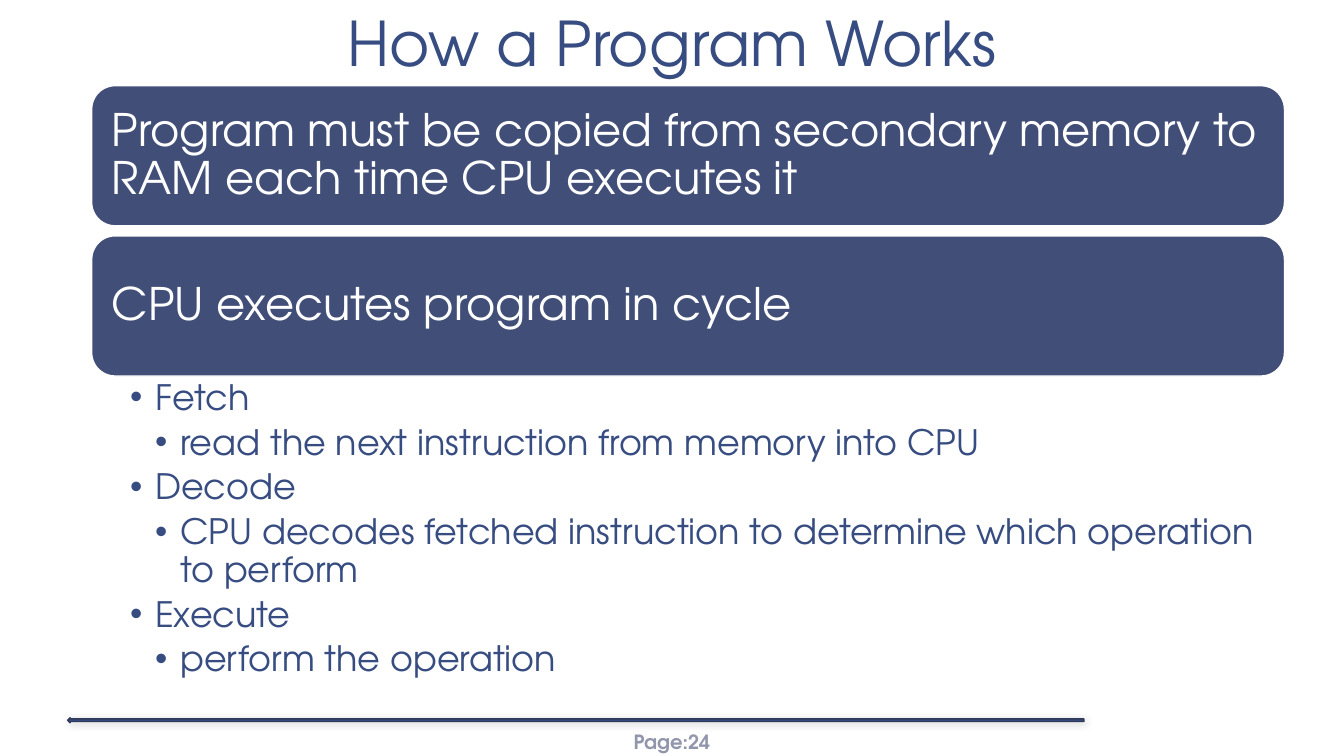
from dataclasses import dataclass

from lxml.etree import SubElement
from pptx import Presentation
from pptx.dml.color import RGBColor
from pptx.enum.shapes import MSO_SHAPE as Shape
from pptx.enum.text import MSO_ANCHOR as Anchor, MSO_AUTO_SIZE as AutoSize, PP_ALIGN as Align
from pptx.oxml.ns import qn
from pptx.util import Inches, Pt

FONT = "TeX Gyre Adventor"
COLORS = {
    "text": "374C81",
    "banner": "414E77",
    "arrow_line": "303A58",
    "page": "9196AC",
    "white": "FFFFFF",
    "shadow": "000000",
}


@dataclass
class Banner:
    text: str
    top: float


@dataclass
class Bullet:
    text: str
    level: int


BANNERS = [
    Banner("Program must be copied from secondary memory to RAM each time CPU executes it", 0.85),
    Banner("CPU executes program in cycle", 2.34),
]
BULLETS = [
    Bullet("Fetch", 1),
    Bullet("read the next instruction from memory into CPU", 2),
    Bullet("Decode", 1),
    Bullet("CPU decodes fetched instruction to determine which operation to perform", 2),
    Bullet("Execute", 1),
    Bullet("perform the operation", 2),
]


def rgb(name: str) -> RGBColor:
    return RGBColor.from_string(COLORS[name])


def place(sp, left: float, top: float, width: float, height: float) -> None:
    sp.left, sp.top = Inches(left), Inches(top)
    sp.width, sp.height = Inches(width), Inches(height)


def set_frame(tf, anchor, left: float, top: float, right: float, bottom: float) -> None:
    """Set wrapping, the anchor and the four insets in inches."""
    tf.word_wrap = True
    tf.auto_size = AutoSize.NONE
    tf.vertical_anchor = anchor
    tf.margin_left, tf.margin_top = Inches(left), Inches(top)
    tf.margin_right, tf.margin_bottom = Inches(right), Inches(bottom)


def write(p, text: str, size: float, color: str, align=Align.LEFT,
          spacing: float = 1.0, bold: bool = False) -> None:
    p.alignment = align
    p.line_spacing = spacing
    p.space_before = Pt(0)
    r = p.add_run()
    r.text = text
    r.font.name = FONT
    r.font.size = Pt(size)
    r.font.bold = bold
    r.font.color.rgb = rgb(color)


def add_filled(slide, kind, box: tuple, fill: str, line: str):
    sp = slide.shapes.add_shape(kind, *map(Inches, box))
    sp.shadow.inherit = False
    sp.fill.solid()
    sp.fill.fore_color.rgb = rgb(fill)
    sp.line.color.rgb = rgb(line)
    sp.line.width = Pt(1)
    return sp


def add_footer(slide) -> None:
    sp = slide.shapes.add_textbox(*map(Inches, (5.78, 7.16, 1.77, 0.4)))
    set_frame(sp.text_frame, Anchor.MIDDLE, 0.04, 0.02, 0.04, 0.02)
    write(sp.text_frame.paragraphs[0], "Page:24", 14, "page", Align.CENTER, bold=True)

    arrow = add_filled(slide, Shape.LEFT_ARROW, (0.67, 7.12, 10.08, 0.05), "text", "arrow_line")
    effects = arrow.element.spPr.find(qn("a:effectLst"))
    shadow = SubElement(effects, qn("a:outerShdw"), blurRad=str(Pt(6)),
                        dist=str(Pt(1)), dir=str(45 * 60000))
    color = SubElement(shadow, qn("a:srgbClr"), val=COLORS["shadow"])
    SubElement(color, qn("a:alpha"), val="20000")


def fill_title(sp) -> None:
    place(sp, 1.11, 0, 11.11, 0.86)
    set_frame(sp.text_frame, Anchor.BOTTOM, 0.13, 0.07, 0.13, 0.07)
    write(sp.text_frame.paragraphs[0], "How a Program Works", 44, "text", Align.CENTER, 0.85)


def add_banner(slide, banner: Banner) -> None:
    sp = add_filled(slide, Shape.ROUNDED_RECTANGLE, (0.91, banner.top, 11.83, 1.39),
                    "banner", "white")
    set_frame(sp.text_frame, Anchor.MIDDLE, 0.13, 0.13, 0.13, 0.13)
    write(sp.text_frame.paragraphs[0], banner.text, 32, "white", spacing=0.9)


def fill_body(sp) -> None:
    place(sp, 0.91, 3.73, 11.83, 3.26)
    tf = sp.text_frame
    set_frame(tf, Anchor.TOP, 0.38, 0.04, 0.25, 0.04)
    for i, bullet in enumerate(BULLETS):
        p = tf.add_paragraph() if i else tf.paragraphs[0]
        p.level = bullet.level
        write(p, bullet.text, 25, "text", spacing=0.9)
        p.space_after = Pt(5)
        props = p._p.get_or_add_pPr()
        props.set("marL", str(Inches(0.25 * bullet.level)))
        props.set("indent", str(Inches(-0.25)))
        SubElement(props, qn("a:buFont"), typeface="Arial")
        SubElement(props, qn("a:buChar"), char="•")


def main() -> None:
    prs = Presentation()
    prs.slide_width, prs.slide_height = Inches(13.33), Inches(7.5)
    slide = prs.slides.add_slide(prs.slide_layouts[1])
    add_footer(slide)
    fill_title(slide.shapes.title)
    for banner in BANNERS:
        add_banner(slide, banner)
    fill_body(slide.placeholders[1])
    prs.save("out.pptx")


if __name__ == "__main__":
    main()
